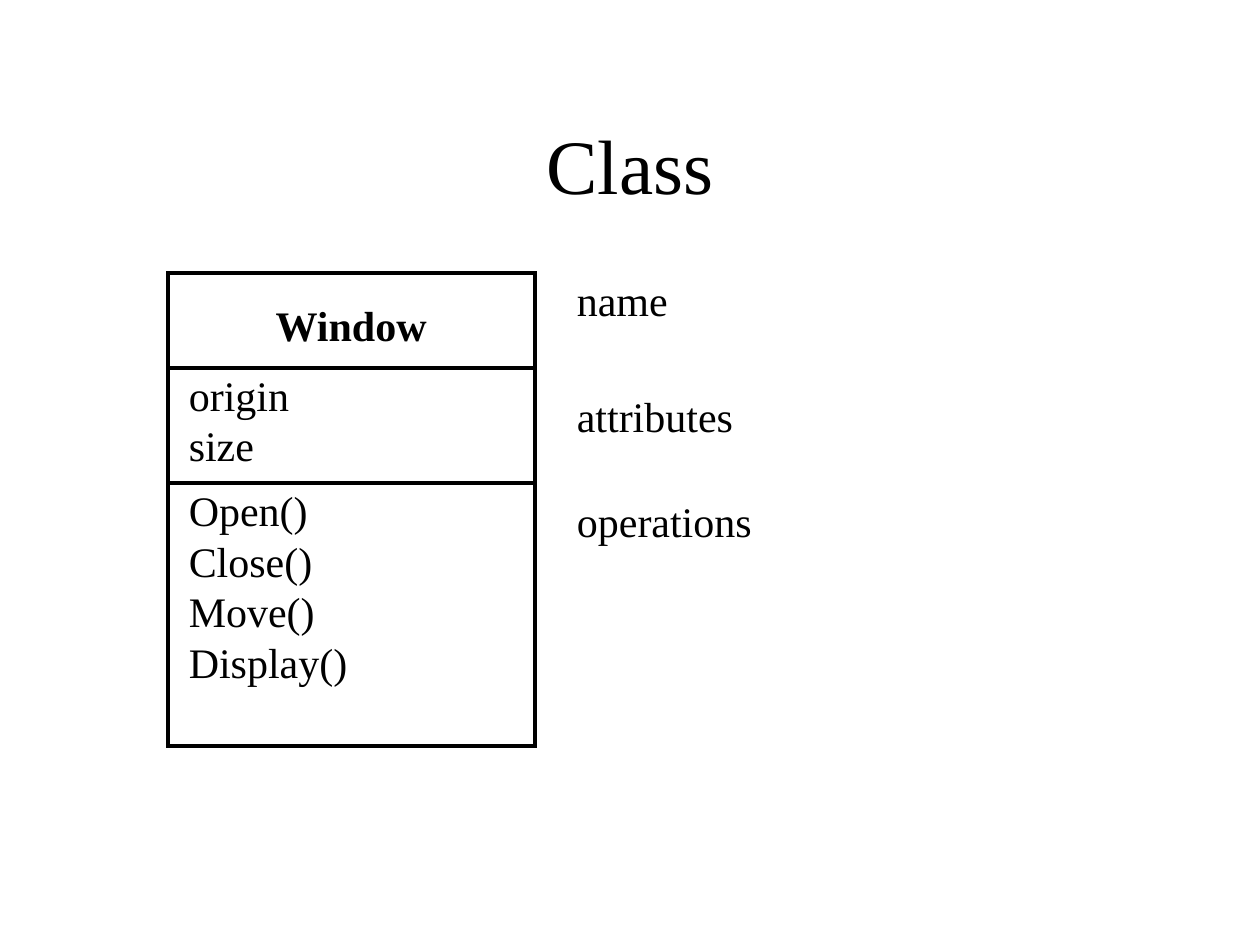
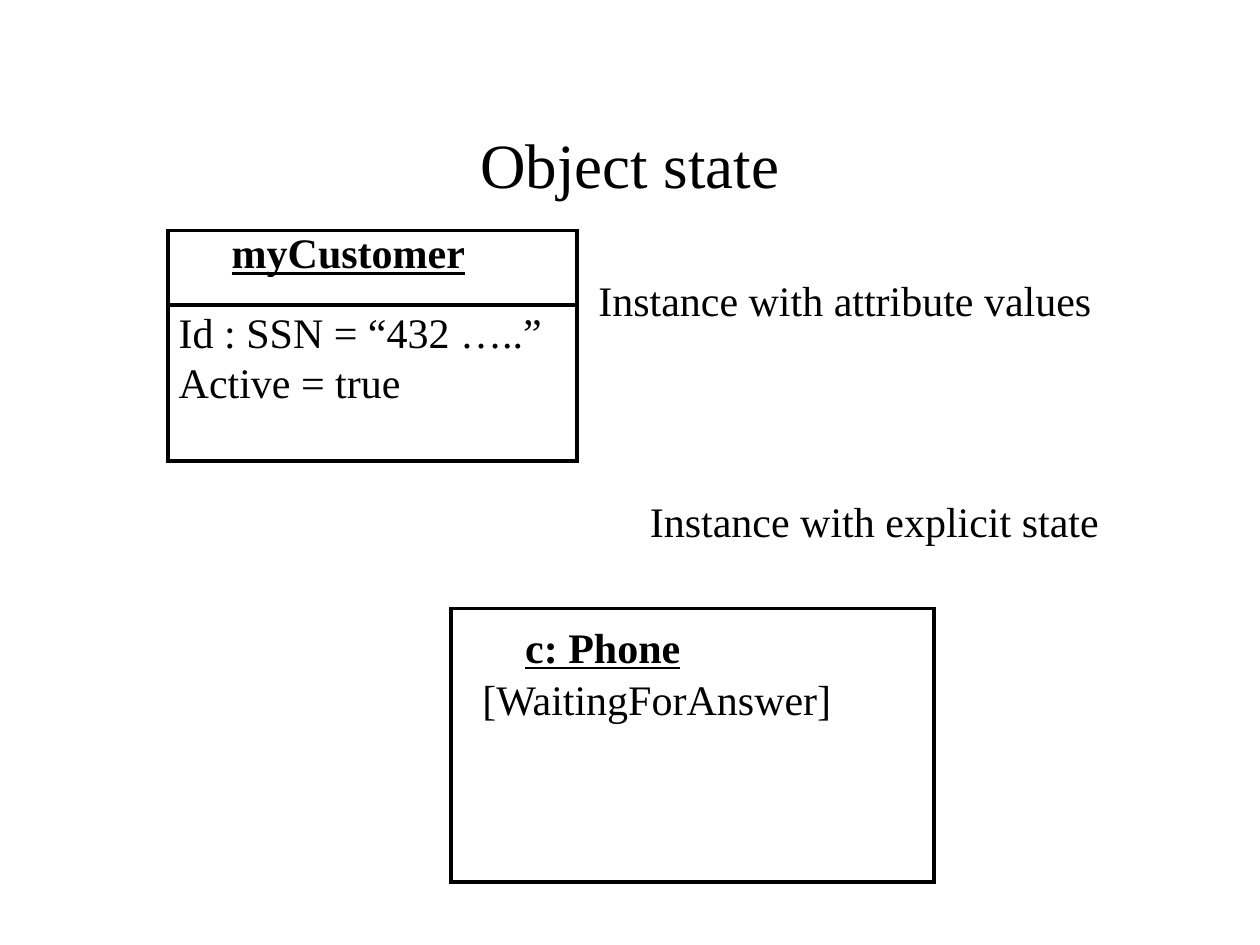
from lxml import etree
from pptx import Presentation
from pptx.dml.color import RGBColor
from pptx.enum.shapes import MSO_CONNECTOR, MSO_SHAPE
from pptx.enum.text import MSO_ANCHOR, MSO_AUTO_SIZE, PP_ALIGN
from pptx.oxml.ns import qn
from pptx.util import Inches, Pt

BLACK = RGBColor(0x00, 0x00, 0x00)
FONT = "Times New Roman"
BODY_SIZE = 24
LINE_HEIGHT = 0.4
LINE_WIDTH = Pt(2.25)


class Deck:
    """Holds the diagram style and the current slide."""

    def __init__(self):
        self.prs = Presentation()
        self.prs.slide_width = Inches(10)
        self.prs.slide_height = Inches(7.5)
        self.slide = None

    def new_slide(self, title, size):
        self.slide = self.prs.slides.add_slide(self.prs.slide_layouts[6])
        tf = self.text_box(0.75, 0.67, 8.5, 1.25, title, size)
        tf.word_wrap = True
        tf.vertical_anchor = MSO_ANCHOR.MIDDLE
        tf.paragraphs[0].alignment = PP_ALIGN.CENTER

    def text_box(self, x, y, w, h, text, size, bold=False, underline=False):
        box = self.slide.shapes.add_textbox(
            Inches(x), Inches(y), Inches(w), Inches(h))
        tf = box.text_frame
        tf.text = text
        for p in tf.paragraphs:
            for r in p.runs:
                r.font.name = FONT
                r.font.size = Pt(size)
                r.font.bold = bold
                r.font.underline = underline
                r.font.color.rgb = BLACK
        return tf

    def label(self, x, y, w, *lines, bold=False, underline=False):
        """Add unwrapped text whose box grows with its lines."""
        height = LINE_HEIGHT * len(lines) + 0.1
        tf = self.text_box(x, y, w, height, "\n".join(lines), BODY_SIZE,
                           bold, underline)
        tf.word_wrap = False
        tf.auto_size = MSO_AUTO_SIZE.SHAPE_TO_FIT_TEXT

    def uml_box(self, x, y, w, h, dividers=()):
        """Draw an outlined box with a full-width line at each divider."""
        sp = self.slide.shapes.add_shape(
            MSO_SHAPE.RECTANGLE, Inches(x), Inches(y), Inches(w), Inches(h))
        sp.shadow.inherit = False
        sp.fill.background()
        self.stroke(sp)
        for line_y in dividers:
            self.divider(x, x + w, line_y)

    def divider(self, left, right, y):
        line = self.slide.shapes.add_connector(
            MSO_CONNECTOR.STRAIGHT,
            Inches(left), Inches(y), Inches(right), Inches(y))
        self.stroke(line)
        etree.SubElement(line._element.spPr, qn("a:effectLst"))

    def stroke(self, shape):
        """Apply the black outline with square corners."""
        shape.line.color.rgb = BLACK
        shape.line.width = LINE_WIDTH
        ln = shape._element.spPr.find(qn("a:ln"))
        etree.SubElement(ln, qn("a:miter"), lim="800000")


def class_slide(deck):
    deck.new_slide("Class", 44)

    # Class box with its three compartments
    deck.uml_box(1.33, 2.17, 2.92, 3.75, dividers=(2.92, 3.83))
    deck.label(2.09, 2.33, 1.4, "Window", bold=True)
    deck.label(1.4, 2.88, 1, "origin", "size")
    deck.label(1.4, 3.8, 1.46, "Open()", "Close()", "Move()", "Display()")

    # Compartment captions
    for y, w, caption in ((2.13, 0.92, "name"),
                          (3.05, 1.44, "attributes"),
                          (3.88, 1.59, "operations")):
        deck.label(4.48, y, w, caption)


def object_state_slide(deck):
    deck.new_slide("Object state", 36)

    # Instance with attribute values
    deck.uml_box(1.33, 1.83, 3.25, 1.83, dividers=(2.42,))
    deck.label(1.74, 1.75, 2.05, "myCustomer", bold=True, underline=True)
    deck.label(1.32, 2.38, 3.08, "Id : SSN = “432 …..”", "Active = true")
    deck.label(4.65, 2.13, 4.12, "Instance with attribute values")

    # Instance with explicit state
    deck.uml_box(3.58, 4.83, 3.83, 2.17)
    deck.label(4.07, 4.88, 1.43, "c: Phone", bold=True, underline=True)
    deck.label(3.73, 5.3, 2.99, "[WaitingForAnswer]")
    deck.label(5.06, 3.88, 3.77, "Instance with explicit state")


def main():
    deck = Deck()
    class_slide(deck)
    object_state_slide(deck)
    deck.prs.save("out.pptx")


if __name__ == "__main__":
    main()
